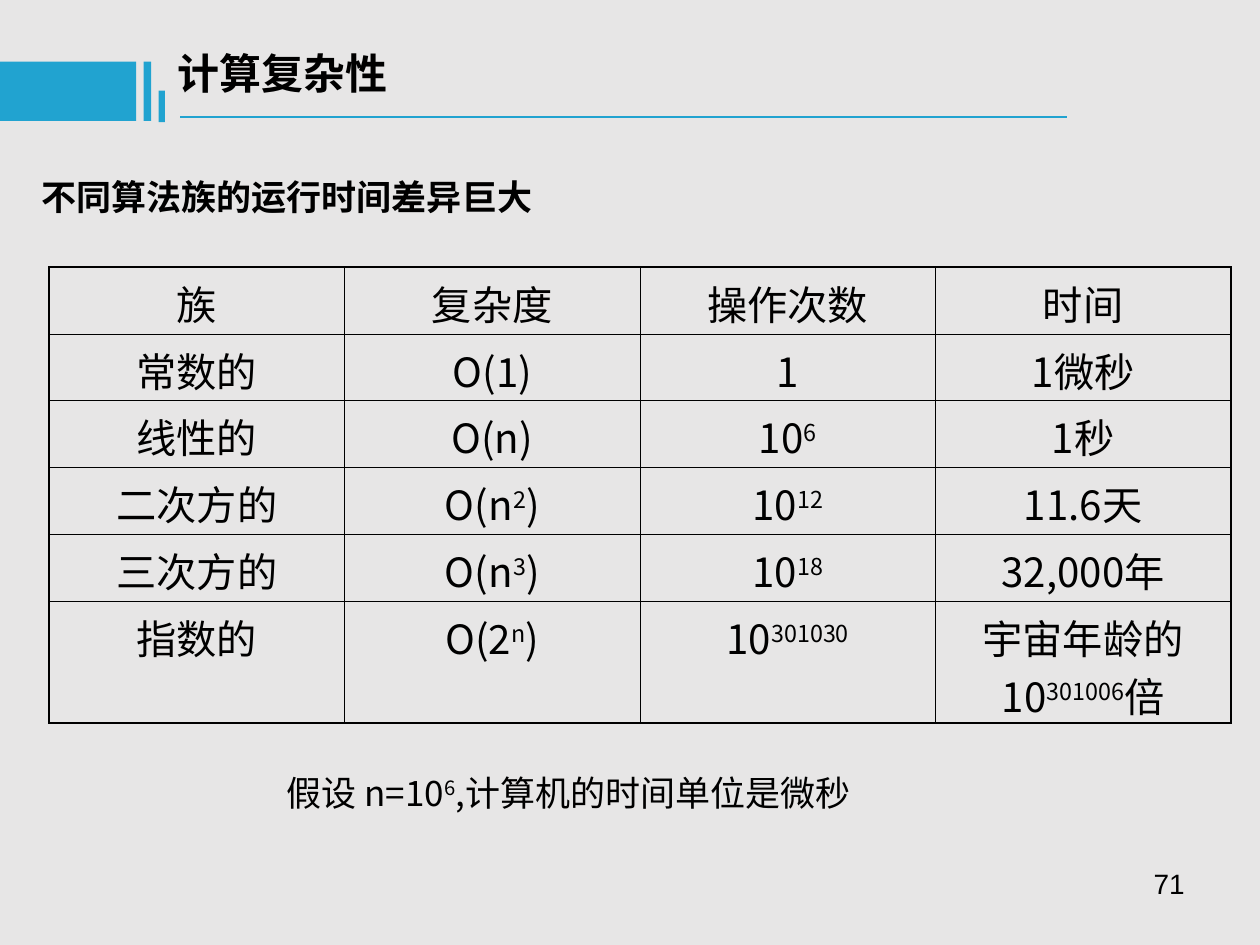
from lxml import etree
from pptx import Presentation
from pptx.dml.color import RGBColor
from pptx.enum.shapes import MSO_CONNECTOR, MSO_SHAPE
from pptx.enum.text import MSO_ANCHOR, PP_ALIGN
from pptx.oxml.ns import qn
from pptx.util import Inches, Pt

LEFT, CENTER, RIGHT = PP_ALIGN.LEFT, PP_ALIGN.CENTER, PP_ALIGN.RIGHT
TOP, MIDDLE = MSO_ANCHOR.TOP, MSO_ANCHOR.MIDDLE
RECTANGLE = MSO_SHAPE.RECTANGLE
STRAIGHT = MSO_CONNECTOR.STRAIGHT

CJK_FONT = "Noto Sans CJK SC"
BLACK, ACCENT, BACKGROUND = "000000", "21A3D0", "E7E6E6"
OUTER_BORDER, INNER_BORDER = 1.08, 0.45

# Text between a pair of carets is superscript.
COMPLEXITY_ROWS = [
    ("族", "复杂度", "操作次数", "时间"),
    ("常数的", "O(1)", "1", "1微秒"),
    ("线性的", "O(n)", "10^6^", "1秒"),
    ("二次方的", "O(n^2^)", "10^12^", "11.6天"),
    ("三次方的", "O(n^3^)", "10^18^", "32,000年"),
    ("指数的", "O(2^n^)", "10^301030^", "宇宙年龄的10^301006^倍"),
]


def color(value):
    return RGBColor.from_string(value)


def write(paragraph, text, size, font=CJK_FONT, bold=False, align=LEFT):
    """Add text run by run, raising the parts between carets."""
    paragraph.alignment = align
    for index, part in enumerate(text.split("^")):
        if not part:
            continue
        run = paragraph.add_run()
        run.text = part
        run.font.size = Pt(size)
        run.font.name = font
        run.font.bold = bold
        run.font.color.rgb = color(BLACK)
        properties = run._r.get_or_add_rPr()
        etree.SubElement(properties, qn("a:ea"), typeface=CJK_FONT)
        if index % 2:
            properties.set("baseline", "30000")


def add_text(slide, box, text, size, anchor=TOP, wrap=True, **style):
    frame = slide.shapes.add_textbox(*map(Inches, box)).text_frame
    frame.word_wrap = wrap
    frame.vertical_anchor = anchor
    write(frame.paragraphs[0], text, size, **style)


def add_header(slide, left, top, title):
    bars = [(0, 0.16, 1.08, 0.47), (1.14, 0.16, 0.06, 0.47), (1.26, 0.39, 0.05, 0.25)]
    for x, y, width, height in bars:
        bar = slide.shapes.add_shape(
            RECTANGLE, Inches(left + x), Inches(top + y), Inches(width), Inches(height))
        bar.shadow.inherit = False
        bar.fill.solid()
        bar.fill.fore_color.rgb = color(ACCENT)
        bar.line.fill.background()

    rule_y = Inches(top + 0.6)
    rule = slide.shapes.add_connector(
        STRAIGHT, Inches(left + 1.43), rule_y, Inches(left + 8.47), rule_y)
    rule.line.color.rgb = color(ACCENT)
    rule.line.width = Pt(1.5)
    etree.SubElement(rule._element.spPr, qn("a:effectLst"))
    add_text(slide, (left + 1.31, top, 7.09, 0.5), title, 24, bold=True)


def set_borders(cell, widths):
    properties = cell._tc.get_or_add_tcPr()
    for side, width in widths.items():
        border = etree.SubElement(properties, qn(f"a:ln{side}"), w=str(Pt(width)))
        fill = etree.SubElement(border, qn("a:solidFill"))
        etree.SubElement(fill, qn("a:srgbClr"), val=BLACK)


def add_complexity_table(slide, box, rows):
    row_count, column_count = len(rows), len(rows[0])
    table = slide.shapes.add_table(row_count, column_count, *map(Inches, box)).table
    for row in table.rows:
        row.height = Inches(0.53)
    table.rows[row_count - 1].height = Inches(0.97)

    for r, texts in enumerate(rows):
        for c, text in enumerate(texts):
            cell = table.cell(r, c)
            on_edge = {"L": c == 0, "R": c == column_count - 1,
                       "T": r == 0, "B": r == row_count - 1}
            set_borders(cell, {side: OUTER_BORDER if edge else INNER_BORDER
                               for side, edge in on_edge.items()})
            cell.fill.background()
            write(cell.text_frame.paragraphs[0], text, 23, align=CENTER)


def main():
    presentation = Presentation()
    presentation.slide_width = Inches(10)
    presentation.slide_height = Inches(7.5)
    slide = presentation.slides.add_slide(presentation.slide_layouts[6])
    slide.background.fill.solid()
    slide.background.fill.fore_color.rgb = color(BACKGROUND)

    add_text(slide, (7.17, 6.83, 2.33, 0.52), "71", 16, font="Arial", align=RIGHT)
    add_text(slide, (0.23, 1.25, 8.25, 0.62), "不同算法族的运行时间差异巨大", 20,
             anchor=MIDDLE, font="Arial", bold=True)
    add_complexity_table(slide, (0.39, 2.12, 9.38, 3.63), COMPLEXITY_ROWS)
    add_text(slide, (2.1, 6.07, 4.83, 0.44), "假设 n=10^6^,计算机的时间单位是微秒", 20,
             wrap=False, align=CENTER)
    add_header(slide, 0, 0.33, "计算复杂性")
    presentation.save("out.pptx")


if __name__ == "__main__":
    main()
